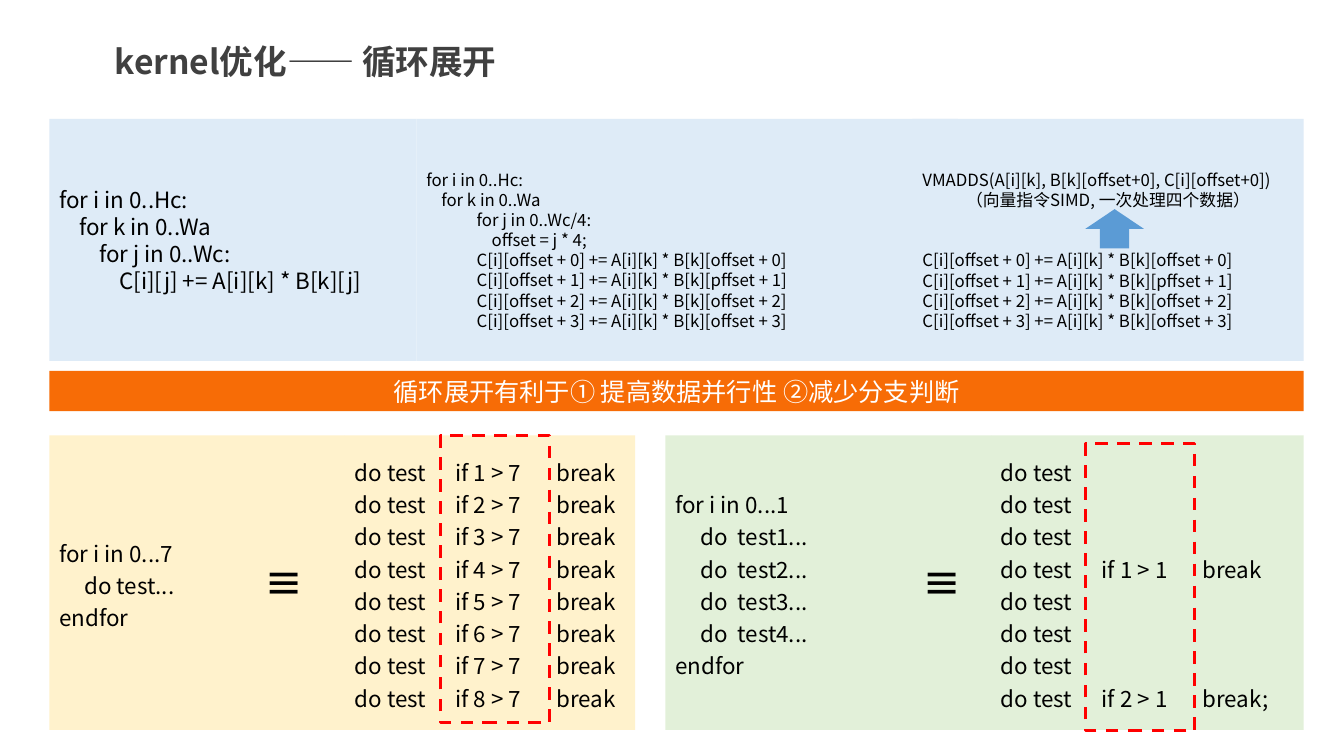
from dataclasses import dataclass

from pptx import Presentation
from pptx.dml.color import RGBColor
from pptx.enum.dml import MSO_LINE
from pptx.enum.shapes import MSO_SHAPE as Preset
from pptx.enum.text import MSO_ANCHOR as Anchor, PP_ALIGN as Align
from pptx.oxml.ns import qn
from pptx.util import Inches, Pt


@dataclass(frozen=True)
class Theme:
    font: str = "Noto Sans CJK SC"
    black: str = "000000"
    white: str = "FFFFFF"
    heading: str = "404040"
    blue: str = "DEEBF7"
    yellow: str = "FFF2CC"
    green: str = "E2F0D9"
    orange: str = "F76C06"
    arrow: str = "5B9BD5"
    marker: str = "FF0000"
    title: int = 24
    symbol: int = 28
    banner: int = 18
    body: int = 16
    code: int = 12


THEME = Theme()
LEFT, RIGHT = 0.49, 12.93
CODE_TOP, CODE_HEIGHT = 1.18, 2.4
TEST_TOP, TEST_HEIGHT = 4.32, 2.92


def apply(target, values):
    for name, value in values.items():
        setattr(target, name, value)


def write(shape, lines, size, color=THEME.black, bold=False, **layout):
    """Fill a shape with one paragraph per line."""
    frame = shape.text_frame
    frame.word_wrap = True
    for index, line in enumerate(lines):
        paragraph = frame.paragraphs[0] if index == 0 else frame.add_paragraph()
        apply(paragraph, {"alignment": Align.LEFT, **layout})
        run = paragraph.add_run()
        run.text = line
        apply(run.font, {"name": THEME.font, "size": Pt(size), "bold": bold})
        run.font.color.rgb = RGBColor.from_string(color)
        east_asian = run.font._element.makeelement(qn("a:ea"), {"typeface": THEME.font})
        run.font._element.find(qn("a:latin")).addnext(east_asian)
    return frame.paragraphs


def add_block(slide, box, fill, preset=Preset.RECTANGLE):
    shape = slide.shapes.add_shape(preset, *map(Inches, box))
    shape.shadow.inherit = False
    shape.fill.solid()
    shape.fill.fore_color.rgb = RGBColor.from_string(fill)
    shape.line.fill.background()
    shape.text_frame.vertical_anchor = Anchor.MIDDLE
    return shape


def add_code_panel(slide, left, width, lines, size, top_inset=0.05):
    panel = add_block(slide, (left, CODE_TOP, width, CODE_HEIGHT), THEME.blue)
    panel.text_frame.margin_top = Inches(top_inset)
    return write(panel, lines, size)


def add_test_panel(slide, left, width, fill, lines):
    panel = add_block(slide, (left, TEST_TOP, width, TEST_HEIGHT), fill)
    write(panel, lines, THEME.body, line_spacing=1.2)


def add_label(slide, box, text, size, color=THEME.black):
    label = slide.shapes.add_textbox(*map(Inches, box))
    write(label, [text], size, color, bold=True)


def add_marker(slide, left, top):
    marker = slide.shapes.add_shape(
        Preset.RECTANGLE, *map(Inches, (left, top, 1.08, 2.85)))
    marker.shadow.inherit = False
    marker.fill.background()
    marker.line.color.rgb = RGBColor.from_string(THEME.marker)
    apply(marker.line, {"width": Pt(2.25), "dash_style": MSO_LINE.DASH})


def add_code_row(slide):
    add_code_panel(slide, LEFT, 3.64, [
        "for i in 0..Hc:",
        "    for k in 0..Wa",
        "        for j in 0..Wc:",
        "            C[i][j] += A[i][k] * B[k][j]",
    ], THEME.body)

    updates = [f"C[i][offset + {n}] += A[i][k] * B[k][{name} + {n}]"
               for n, name in enumerate(["offset", "pffset", "offset", "offset"])]
    unrolled = add_code_panel(slide, 4.13, 5.37, [
        "for i in 0..Hc:",
        "    for k in 0..Wa",
        "for j in 0..Wc/4:",
        "    offset = j * 4;",
        *("        \t" + update for update in updates),
    ], THEME.code, top_inset=0.25)
    for paragraph in unrolled[2:4]:
        paragraph._p.get_or_add_pPr().set("indent", str(Inches(0.5)))

    vector = add_code_panel(slide, 9.05, RIGHT - 9.05, [
        "VMADDS(A[i][k], B[k][offset+0], C[i][offset+0])",
        "（向量指令SIMD, 一次处理四个数据）",
        *updates,
    ], THEME.code, top_inset=0.25)
    vector[1].alignment = Align.CENTER
    vector[2].space_before = Pt(29)  # room for the arrow

    arrow = add_block(slide, (10.86, 1.98, 0.39, 0.58), THEME.arrow, Preset.RIGHT_ARROW)
    arrow.rotation = 270


def add_test_row(slide):
    # Eight iterations, one test each
    add_test_panel(slide, LEFT, 2.93, THEME.yellow,
                   ["for i in 0...7", "     do test...", "endfor"])
    add_test_panel(slide, 3.42, 2.88, THEME.yellow,
                   [f"do test\tif {n} > 7\tbreak" for n in range(1, 9)])

    # Two iterations, four tests each
    add_test_panel(slide, 6.6, 3.23, THEME.green, [
        "for i in 0...1",
        *(f"     do  test{n}..." for n in range(1, 5)),
        "endfor",
    ])
    plain = ["do test"] * 3
    add_test_panel(slide, 9.83, 3.1, THEME.green, [
        *plain, "do test\tif 1 > 1\tbreak",
        *plain, "do test\tif 2 > 1\tbreak;",
    ])

    for left, width in ((2.52, 0.52), (9.05, 0.65)):
        add_label(slide, (left, 5.5, width, 0.57), "≡", THEME.symbol)
    for left, top in ((4.37, 4.32), (10.77, 4.4)):
        add_marker(slide, left, top)


def main():
    presentation = Presentation()
    apply(presentation, {"slide_width": Inches(13.33), "slide_height": Inches(7.5)})
    slide = presentation.slides.add_slide(presentation.slide_layouts[6])

    # Title
    add_label(slide, (1.04, 0.36, 11.99, 0.5), "kernel优化—— 循环展开",
              THEME.title, THEME.heading)
    # Loop unrolling code
    add_code_row(slide)
    # Conclusion banner
    banner = add_block(slide, (LEFT, 3.68, RIGHT - LEFT, 0.4), THEME.orange)
    write(banner, ["循环展开有利于① 提高数据并行性 ②减少分支判断"],
          THEME.banner, THEME.white, alignment=Align.CENTER)
    # Branch comparison
    add_test_row(slide)

    presentation.save("out.pptx")


if __name__ == "__main__":
    main()
